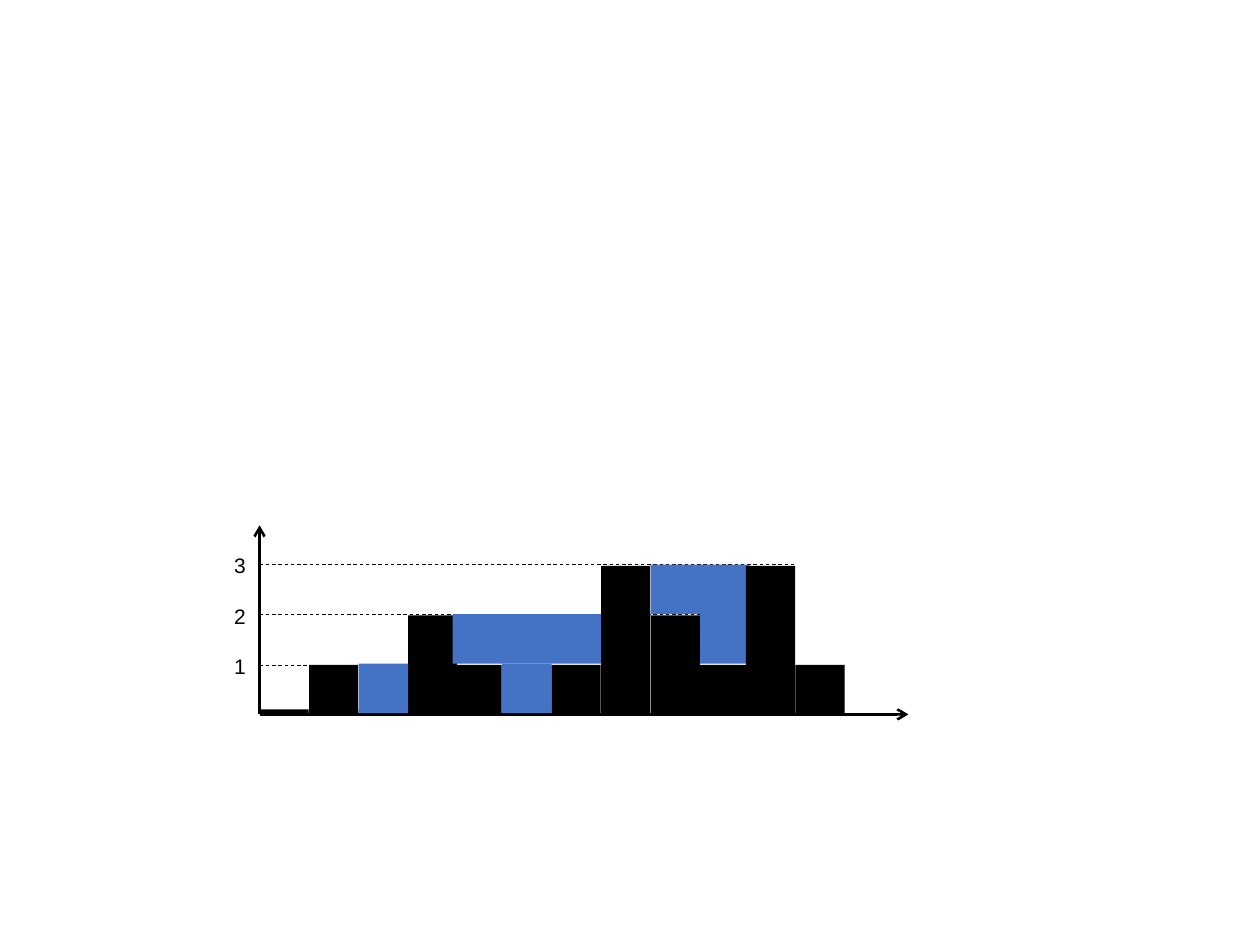
from lxml.etree import SubElement
from pptx import Presentation
from pptx.dml.color import RGBColor
from pptx.enum.dml import MSO_LINE
from pptx.enum.shapes import MSO_CONNECTOR, MSO_SHAPE
from pptx.enum.text import MSO_AUTO_SIZE
from pptx.oxml.ns import qn
from pptx.util import Inches, Pt

BLACK = RGBColor(0x00, 0x00, 0x00)
BLUE = RGBColor(0x44, 0x72, 0xC4)

HEIGHTS = [0, 1, 0, 2, 1, 0, 1, 3, 2, 1, 3, 1]
FRONT_BARS = [10, 7, 6]
WATER = [(2, 0, 1), (5, 0, 1), (4, 1, 3), (9, 1, 1), (8, 2, 2)]
GUIDE_ENDS = {1: 2.44, 2: 4.05, 3: 4.24}
UNIT = 0.39
PITCH = 0.393
FLOOR = 0.04


def column_left(column):
    """Return a column's offset, with the overlaps after columns 3 and 9."""
    return PITCH * column - 0.04 * (column > 3) - 0.03 * (column > 9)


def add_block(shapes, left, top, width, height, color):
    """Add a plain filled rectangle."""
    sp = shapes.add_shape(MSO_SHAPE.RECTANGLE, Inches(left), Inches(top),
                          Inches(width), Inches(height))
    sp.shadow.inherit = False
    sp.fill.solid()
    sp.fill.fore_color.rgb = color
    sp.line.fill.background()


def add_rule(shapes, start, end, width, arrow=False):
    """Add an axis with an arrowhead or a dashed guide."""
    cx = shapes.add_connector(MSO_CONNECTOR.STRAIGHT,
                              *(Inches(v) for v in (*start, *end)))
    cx.line.color.rgb = BLACK
    cx.line.width = Pt(width)
    if arrow:
        SubElement(cx.line._get_or_add_ln(), qn("a:tailEnd"), type="arrow")
    else:
        cx.line.dash_style = MSO_LINE.DASH
    SubElement(cx._element.spPr, qn("a:effectLst"))


def add_label(shapes, left, middle, text):
    """Add a level number centred on its guide."""
    tb = shapes.add_textbox(Inches(left), Inches(middle - 0.15),
                            Inches(0.29), Inches(0.3))
    tf = tb.text_frame
    tf.word_wrap = False
    tf.auto_size = MSO_AUTO_SIZE.SHAPE_TO_FIT_TEXT
    r = tf.paragraphs[0].add_run()
    r.text = text
    r.font.size = Pt(12)
    r.font.name = "Arial"
    r.font.color.rgb = BLACK


def add_bars(shapes, left, base, columns):
    """Add the elevation bars of the given columns."""
    for column in columns:
        height = HEIGHTS[column] * PITCH or FLOOR
        add_block(shapes, left + column_left(column), base - height,
                  UNIT, height, BLACK)


def add_rain_map(s, left, base, width, height):
    """Draw the elevation map with trapped water from its origin."""
    shapes = s.shapes.add_group_shape().shapes
    add_rule(shapes, (left, base), (left + width, base), 1.5, True)
    add_rule(shapes, (left, base), (left, base - height), 1.5, True)
    add_bars(shapes, left, base,
             [c for c in range(len(HEIGHTS)) if c not in FRONT_BARS])
    for level, end in GUIDE_ENDS.items():
        y = base - 0.4 * level + 0.01
        add_rule(shapes, (left, y), (left + end, y), 0.5)
        add_label(shapes, left - 0.3, y + 0.01, str(level))
    for column, level, span in WATER:
        add_block(shapes, left + column_left(column),
                  base - PITCH * (level + 1) - 0.01,
                  PITCH * span, PITCH, BLUE)
    add_bars(shapes, left, base, FRONT_BARS)


def main():
    """Build and save the slide."""
    prs = Presentation()
    prs.slide_width, prs.slide_height = Inches(10), Inches(7.5)
    s = prs.slides.add_slide(prs.slide_layouts[6])
    add_rain_map(s, 2.06, 5.67, 5.15, 1.5)
    prs.save("out.pptx")


main()
